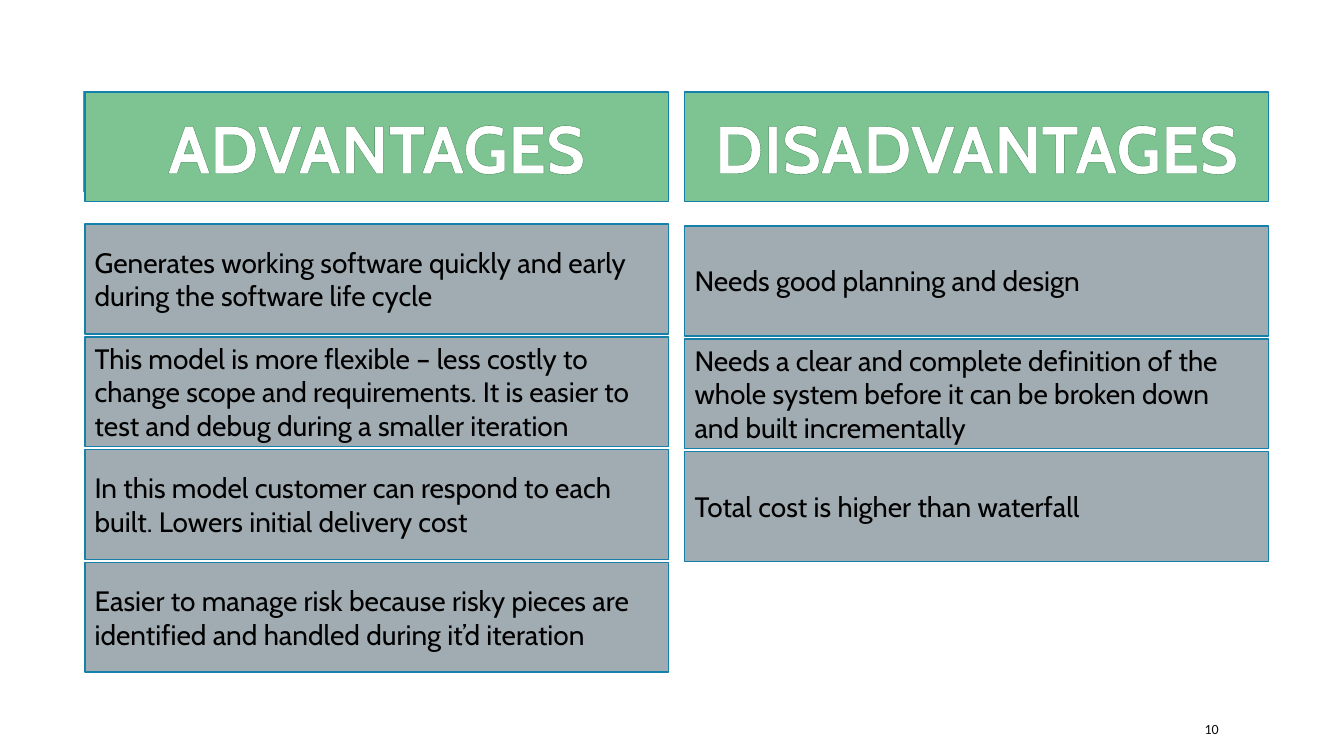
from dataclasses import dataclass

import pptx
import pptx.dml.color
import pptx.enum.shapes
import pptx.enum.text
import pptx.oxml
import pptx.oxml.ns
import pptx.util
from pptx.util import Inches

RGB = pptx.dml.color.RGBColor.from_string
ALIGN = pptx.enum.text.PP_ALIGN
MIDDLE = pptx.enum.text.MSO_ANCHOR.MIDDLE


@dataclass(frozen=True)
class Theme:
    header_fill: str = "7EC492"
    item_fill: str = "A1ACB2"
    border: str = "1580A9"
    accent: str = "1CADE4"
    header_text: str = "FFFFFF"
    header_outline: str = "3E8853"
    item_text: str = "000000"
    number_text: str = "0D0D0D"
    font: str = "Cabin"
    number_font: str = "Calibri"
    header_size: int = 48
    item_size: int = 20
    number_size: int = 10


theme = Theme()
BOX_W, BOX_H = 5.79, 1.09
HEADER_TOP = 0.91
ITEM_PITCH = 1.12

# heading, left edge, top of first item, items
columns = [
    ("DISADVANTAGES", 6.79, 2.24, [
        "Needs good planning and design",
        "Needs a clear and complete definition of the whole system before it "
        "can be broken down and built incrementally",
        "Total cost is higher than waterfall",
    ]),
    ("ADVANTAGES", 0.84, 2.22, [
        "Generates working software quickly and early during the software life cycle",
        "This model is more flexible – less costly to change scope and requirements. "
        "It is easier to test and debug during a smaller iteration",
        "In this model customer can respond to each built. Lowers initial delivery cost",
        "Easier to manage risk because risky pieces are identified and handled "
        "during it’d iteration",
    ]),
]


def write(sp, text, font, size, color, align=ALIGN.LEFT):
    """Put one formatted, vertically centred paragraph in sp; return its run."""
    tf = sp.text_frame
    tf.word_wrap = True
    tf.vertical_anchor = MIDDLE
    tf.text = text
    p = tf.paragraphs[0]
    p.alignment = align
    r = p.runs[0]
    r.font.name = font
    r.font.size = pptx.util.Pt(size)
    r.font.color.rgb = RGB(color)
    return r


def add_box(left, top, fill):
    sp = slide.shapes.add_shape(
        pptx.enum.shapes.MSO_SHAPE.RECTANGLE,
        Inches(left), Inches(top), Inches(BOX_W), Inches(BOX_H))
    sp.shadow.inherit = False
    sp.fill.solid()
    sp.fill.fore_color.rgb = RGB(fill)
    sp.line.color.rgb = RGB(theme.border)
    sp.line.width = pptx.util.Pt(1.25)
    return sp


prs = pptx.Presentation()
prs.slide_width, prs.slide_height = Inches(13.33), Inches(7.5)
slide = prs.slides.add_slide(prs.slide_layouts[6])

accent = slide.shapes.add_connector(
    pptx.enum.shapes.MSO_CONNECTOR.STRAIGHT,
    Inches(0.83), Inches(1.9), Inches(0.83), Inches(0.9))
accent.line.color.rgb = RGB(theme.accent)
accent.line.width = pptx.util.Pt(1.5)
accent_props = accent._element.spPr
accent_props.append(accent_props.makeelement(pptx.oxml.ns.qn("a:effectLst"), {}))

for heading, left, first_top, items in columns:
    header = add_box(left, HEADER_TOP, theme.header_fill)
    r = write(header, heading, theme.font, theme.header_size,
              theme.header_text, ALIGN.CENTER)
    r.font.bold = True
    outline = pptx.oxml.parse_xml(
        f'<a:ln {pptx.oxml.ns.nsdecls("a")} w="{pptx.util.Pt(0.8)}"><a:solidFill>'
        f'<a:srgbClr val="{theme.header_outline}"/></a:solidFill></a:ln>')
    r._r.get_or_add_rPr().insert(0, outline)

    for i, item in enumerate(items):
        box = add_box(left, first_top + i * ITEM_PITCH, theme.item_fill)
        write(box, item, theme.font, theme.item_size, theme.item_text)

number = slide.shapes.add_textbox(Inches(11.85), Inches(7.08), Inches(1.06), Inches(0.3))
write(number, "10", theme.number_font, theme.number_size, theme.number_text)

prs.save("out.pptx")
